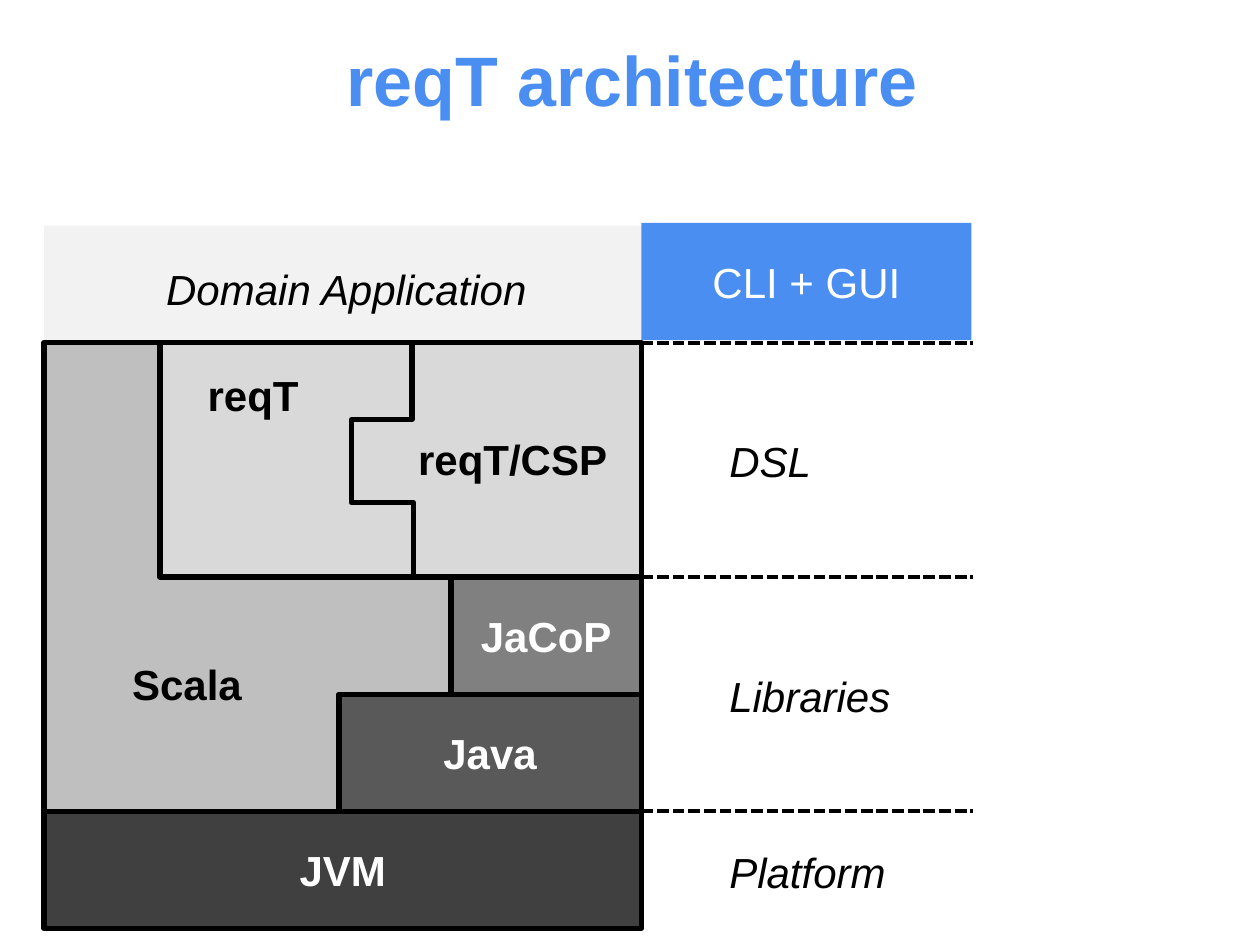
"""Build the reqT architecture slide."""
import pptx
import pptx.util
import pptx.dml.color
import pptx.enum.dml
import pptx.enum.shapes
import pptx.enum.text
import pptx.oxml
from pptx.util import Inches

COLORS = {"blue": "4A8EF2", "white": "FFFFFF", "black": "000000",
          "app": "F2F2F2", "dsl": "D9D9D9", "scala": "BFBFBF",
          "jacop": "808080", "java": "595959", "jvm": "404040"}


def rgb(name):
    return pptx.dml.color.RGBColor.from_string(COLORS[name])


class Deck:
    """Style and current slide, with one method per kind of element."""
    face = "Arial"
    size = 24
    border = 3

    def __init__(self, prs):
        self.s = prs.slides.add_slide(prs.slide_layouts[5])

    def set_text(self, tf, text, color, size=size, bold=False, italic=False, center=True):
        tf.text = text
        p = tf.paragraphs[0]
        align = pptx.enum.text.PP_ALIGN
        p.alignment = align.CENTER if center else align.LEFT
        p.font.name = self.face
        p.font.size = pptx.util.Pt(size)
        p.font.bold = bold
        p.font.italic = italic
        p.font.color.rgb = rgb(color)

    def outline(self, sp, width=border):
        sp.line.color.rgb = rgb("black")
        sp.line.width = pptx.util.Pt(width)

    def title(self, text, x, y, w, h):
        sp = self.s.shapes.title
        sp.left, sp.top, sp.width, sp.height = map(Inches, (x, y, w, h))
        sp.text_frame.vertical_anchor = pptx.enum.text.MSO_ANCHOR.MIDDLE
        self.set_text(sp.text_frame, text, "blue", size=40, bold=True)

    def block(self, x, y, w, h, fill, text="", bordered=True, bold=True):
        sp = self.s.shapes.add_shape(pptx.enum.shapes.MSO_SHAPE.RECTANGLE,
                                     *map(Inches, (x, y, w, h)))
        sp.shadow.inherit = False
        sp.fill.solid()
        sp.fill.fore_color.rgb = rgb(fill)
        if bordered:
            self.outline(sp)
        else:
            sp.line.fill.background()
        if text:
            sp.text_frame.vertical_anchor = pptx.enum.text.MSO_ANCHOR.MIDDLE
            self.set_text(sp.text_frame, text, "white", bold=bold)

    def label(self, text, x, y, w, bold=False):
        sp = self.s.shapes.add_textbox(*map(Inches, (x, y, w, 0.5)))
        tf = sp.text_frame
        tf.word_wrap = False
        tf.auto_size = pptx.enum.text.MSO_AUTO_SIZE.SHAPE_TO_FIT_TEXT
        self.set_text(tf, text, "black", bold=bold, italic=not bold, center=False)

    def divider(self, x1, x2, y):
        sp = self.s.shapes.add_connector(pptx.enum.shapes.MSO_CONNECTOR.STRAIGHT,
                                         *map(Inches, (x1, y, x2, y)))
        self.outline(sp, 2.25)
        sp.line.dash_style = pptx.enum.dml.MSO_LINE.SQUARE_DOT
        sp._element.spPr.append(pptx.oxml.parse_xml(
            '<a:effectLst xmlns:a="http://schemas.openxmlformats.org/drawingml/2006/main"/>'))

    def seam(self, points):
        pts = [tuple(map(Inches, pt)) for pt in points]
        fb = self.s.shapes.build_freeform(*pts[0])
        fb.add_line_segments(pts[1:], close=False)
        sp = fb.convert_to_shape()
        sp.shadow.inherit = False
        sp.fill.background()
        self.outline(sp)


prs = pptx.Presentation()
prs.slide_width, prs.slide_height = Inches(10), Inches(7.5)
d = Deck(prs)
d.title("reqT architecture", 0.59, 0, 8.85, 1.25)

LEFT, RIGHT, ROW = 0.35, 5.09, 0.93
DSL, LIBRARIES, PLATFORM = [2.72 + 2 * ROW * i for i in range(3)]

d.block(LEFT, DSL - ROW, RIGHT - LEFT, ROW, "app", bordered=False)
d.block(LEFT, DSL, 3.23, 4 * ROW, "scala")
for text, x, y, fill in [("JVM", LEFT, PLATFORM, "jvm"),
                         ("Java", 2.69, PLATFORM - ROW, "java"),
                         ("JaCoP", 3.58, LIBRARIES, "jacop")]:
    d.block(x, y, RIGHT - x, ROW, fill, text)
d.block(1.27, DSL, RIGHT - 1.27, 2 * ROW, "dsl")
d.seam([(3.28, LIBRARIES), (3.28, 3.99), (2.79, 3.99),
        (2.79, 3.33), (3.27, 3.33), (3.27, DSL)])

for text, x, y, w in [("Scala", 0.95, 5.18, 1.08), ("reqT", 1.55, 2.88, 0.93),
                      ("reqT/CSP", 3.22, 3.39, 1.72)]:
    d.label(text, x, y, w, bold=True)
for text, x, y, w in [("Domain Application", 1.22, 2.04, 3.09),
                      ("DSL", 5.69, 3.41, 0.86),
                      ("Libraries", 5.69, 5.27, 1.5),
                      ("Platform", 5.69, 6.67, 1.46)]:
    d.label(text, x, y, w)
for y in (DSL, LIBRARIES, PLATFORM):
    d.divider(RIGHT, 7.72, y)
d.block(RIGHT, 1.77, 2.62, ROW, "blue", "CLI + GUI", bordered=False, bold=False)

prs.save("out.pptx")
